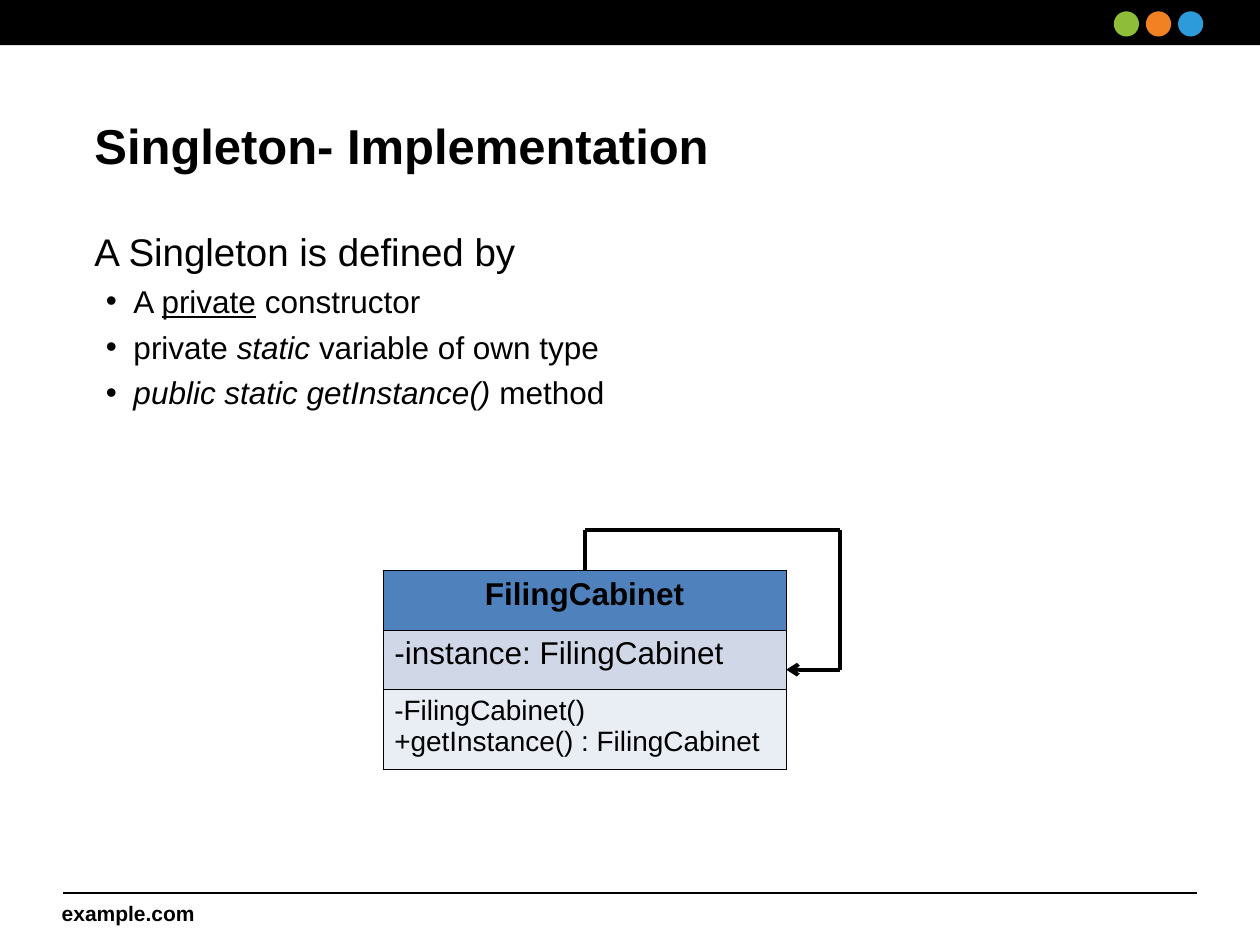
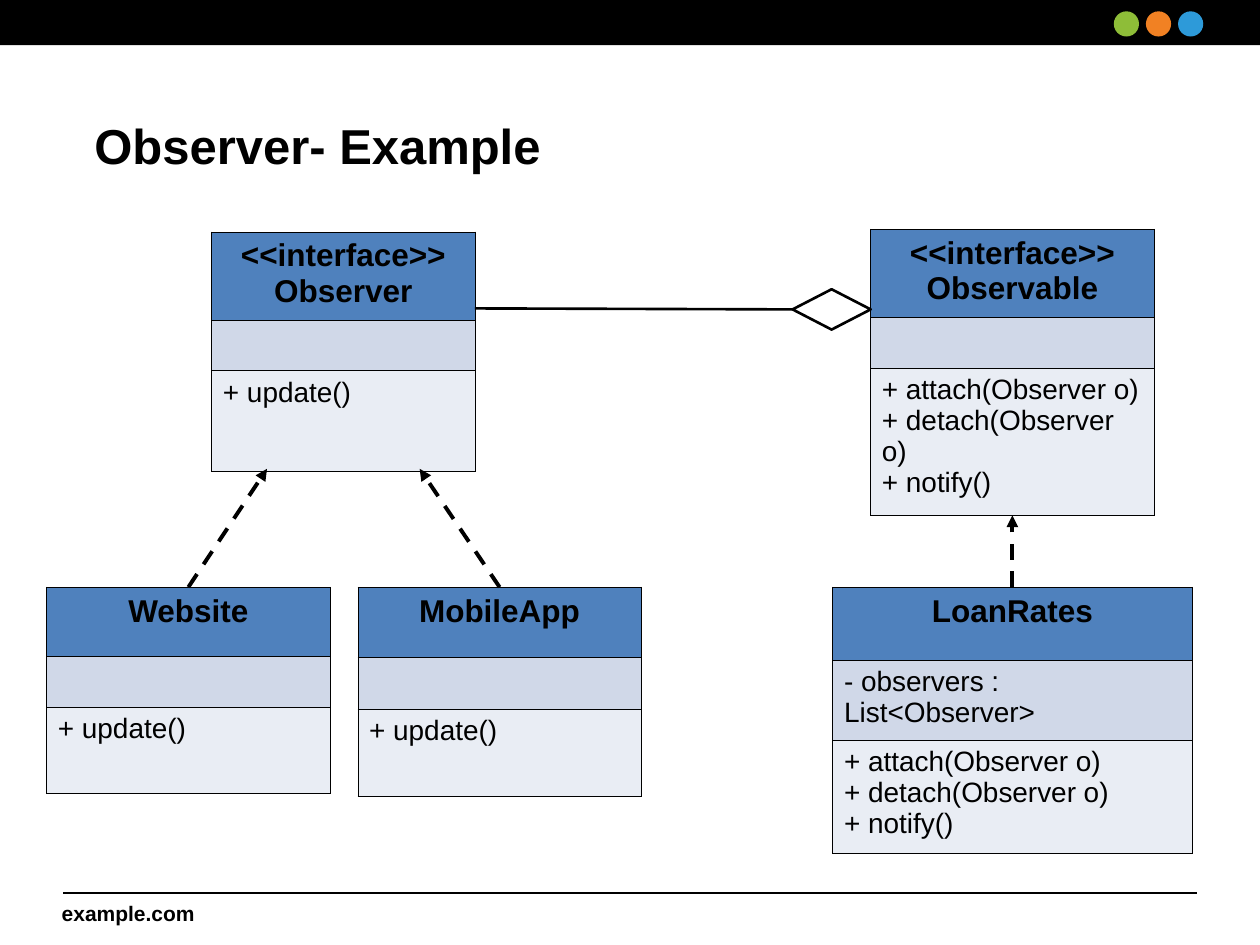
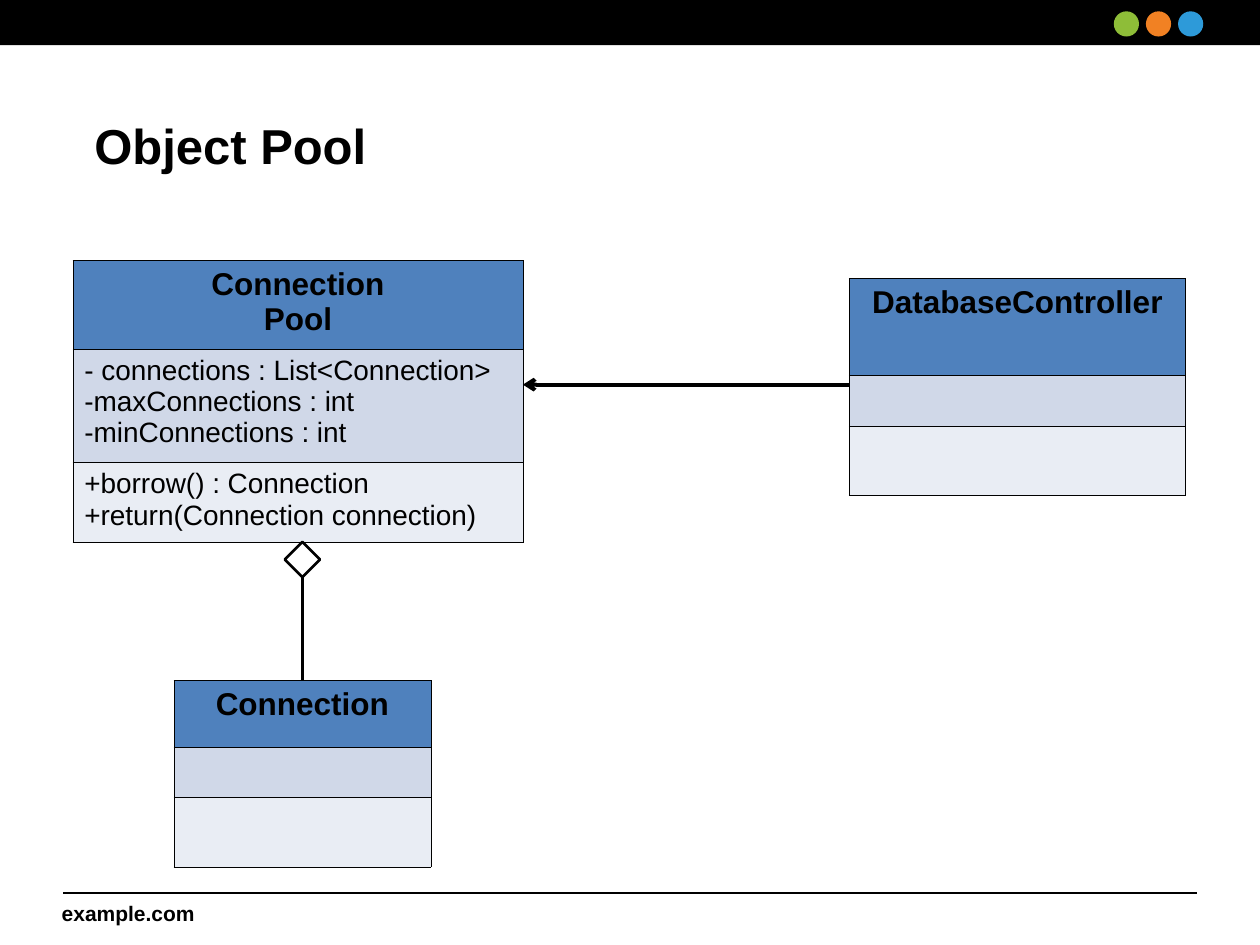
from dataclasses import dataclass
from itertools import pairwise

from lxml.etree import SubElement
from pptx import Presentation
from pptx.dml.color import RGBColor
from pptx.enum.dml import MSO_LINE
from pptx.enum.shapes import MSO_CONNECTOR, MSO_SHAPE
from pptx.enum.text import MSO_ANCHOR, PP_ALIGN
from pptx.oxml import parse_xml
from pptx.oxml.ns import nsdecls, qn
from pptx.util import Inches, Pt

BLACK = RGBColor(0x00, 0x00, 0x00)
WHITE = RGBColor(0xFF, 0xFF, 0xFF)
HEADER = RGBColor(0x4F, 0x81, 0xBD)
ATTRIBUTES = RGBColor(0xD0, 0xD8, 0xE8)
METHODS = RGBColor(0xE9, 0xED, 0xF4)
DOTS = (RGBColor(0x8E, 0xBD, 0x38), RGBColor(0xF1, 0x81, 0x23),
        RGBColor(0x2D, 0x9A, 0xD9))
FONT = "Arial"

# The slide is a grid of 100 columns and 75 rows of square cells.
WIDTH, HEIGHT = Inches(10), Inches(7.5)
COLUMNS, ROWS = 100, 75


@dataclass
class Box:
    left: float
    top: float
    width: float
    height: float

    def at(self, across, down):
        """Grid point at the given shares of the box's width and height."""
        return self.left + across * self.width, self.top + down * self.height


def col(n):
    return round(WIDTH * n / COLUMNS)


def row(n):
    return round(HEIGHT * n / ROWS)


def place(left, top, width, height):
    return col(left), row(top), col(width), row(height)


def add_run(p, text, size, bold=False, italic=False, underline=False):
    r = p.add_run()
    r.text = text
    f = r.font
    f.name, f.size, f.color.rgb = FONT, Pt(size), BLACK
    f.bold, f.italic, f.underline = bold, italic, underline


def add_lines(tf, lines, size, bold=False, align=PP_ALIGN.LEFT):
    for i, line in enumerate(lines):
        p = tf.add_paragraph() if i else tf.paragraphs[0]
        p.alignment = align
        add_run(p, line, size, bold)


def add_text_box(slide, *area, wrap=True):
    tf = slide.shapes.add_textbox(*place(*area)).text_frame
    tf.word_wrap = wrap
    tf.margin_left = tf.margin_right = tf.margin_top = tf.margin_bottom = 0
    return tf


def add_filled(slide, kind, area, fill, line_width=0):
    sp = slide.shapes.add_shape(kind, *place(*area))
    sp.shadow.inherit = False
    sp.fill.solid()
    sp.fill.fore_color.rgb = fill
    if line_width:
        sp.line.color.rgb, sp.line.width = BLACK, Pt(line_width)
    else:
        sp.line.fill.background()


def add_line(slide, start, end, width=2.25, head=None, dashed=False):
    """Draw a line whose optional head ("arrow" or "triangle") is at its end."""
    (x1, y1), (x2, y2) = start, end
    cxn = slide.shapes.add_connector(
        MSO_CONNECTOR.STRAIGHT, col(x1), row(y1), col(x2), row(y2))
    cxn.line.color.rgb, cxn.line.width = BLACK, Pt(width)
    if dashed:
        cxn.line.dash_style = MSO_LINE.DASH
    if head:
        SubElement(cxn.line._get_or_add_ln(), qn("a:tailEnd"), type=head)
    SubElement(cxn._element.spPr, qn("a:effectLst"))


def add_path(slide, *points):
    """Join the points with lines and end with an arrow."""
    steps = list(pairwise(points))
    for start, end in steps[:-1]:
        add_line(slide, start, end)
    add_line(slide, *steps[-1], head="arrow")


def add_realization(slide, start, end):
    add_line(slide, start, end, head="triangle", dashed=True)


def add_aggregation(slide, part, whole, width, height):
    """Draw a line from part to a diamond that touches whole."""
    (px, py), (x, y) = part, whole
    if abs(px - x) > abs(py - y):
        reach = width if px > x else -width
        base, center = (x + reach, y), (x + reach / 2, y)
    else:
        reach = height if py > y else -height
        base, center = (x, y + reach), (x, y + reach / 2)
    add_line(slide, part, base, width=1.5)
    area = (center[0] - width / 2, center[1] - height / 2, width, height)
    add_filled(slide, MSO_SHAPE.DIAMOND, area, WHITE, 1.5)


def add_borders(cell):
    tcPr = cell._tc.get_or_add_tcPr()
    for i, side in enumerate("LRTB"):
        tcPr.insert(i, parse_xml(
            f'<a:ln{side} w="{Pt(0.45)}" {nsdecls("a")}><a:solidFill>'
            f'<a:srgbClr val="{BLACK}"/></a:solidFill></a:ln{side}>'))


def add_class(slide, left, top, width, heights, name, attributes=(),
              methods=(), attribute_size=16):
    """Draw a UML class as a three-row table and return its box."""
    box = Box(left, top, width, sum(heights))
    table = slide.shapes.add_table(
        3, 1, *place(left, top, width, box.height)).table
    table.first_row = table.horz_banding = False
    parts = ((name, 18, True, PP_ALIGN.CENTER, HEADER),
             (attributes, attribute_size, False, PP_ALIGN.LEFT, ATTRIBUTES),
             (methods, 16, False, PP_ALIGN.LEFT, METHODS))
    for i, (lines, size, bold, align, fill) in enumerate(parts):
        table.rows[i].height = row(heights[i])
        cell = table.cell(i, 0)
        cell.margin_left = cell.margin_right = col(0.9)
        cell.margin_top = cell.margin_bottom = row(0.5)
        cell.fill.solid()
        cell.fill.fore_color.rgb = fill
        add_borders(cell)
        add_lines(cell.text_frame, lines, size, bold, align)
    return box


def add_bullets(slide, area, lead, items):
    tf = add_text_box(slide, *area)
    p = tf.paragraphs[0]
    p.space_before = Pt(5.5)
    add_run(p, lead, 22)
    for runs in items:
        p = tf.add_paragraph()
        p.space_before = Pt(4.5)
        pPr = p._p.get_or_add_pPr()
        pPr.set("marL", str(col(3.1)))
        pPr.set("indent", str(-col(2.2)))
        SubElement(pPr, qn("a:buFont"), typeface=FONT)
        SubElement(pPr, qn("a:buChar"), char="•")
        for text, style in runs:
            add_run(p, text, 18, **style)


def new_slide(prs, title):
    slide = prs.slides.add_slide(prs.slide_layouts[6])
    footer = add_text_box(slide, 4.9, 71, 11.6, 3, wrap=False)
    footer.vertical_anchor = MSO_ANCHOR.MIDDLE
    add_lines(footer, ["example.com"], 12, bold=True)
    add_line(slide, (5, 70.9), (95, 70.9), width=1)
    add_filled(slide, MSO_SHAPE.RECTANGLE, (0, 0, COLUMNS, 3.6), BLACK)
    for i, color in enumerate(DOTS):
        add_filled(slide, MSO_SHAPE.OVAL, (88.4 + 2.55 * i, 0.9, 2, 2), color)
    add_lines(add_text_box(slide, 7.5, 9.2, 85, 5.2), [title], 28, bold=True)
    return slide


def singleton_slide(prs):
    slide = new_slide(prs, "Singleton- Implementation")
    italic, underline = {"italic": True}, {"underline": True}
    add_bullets(slide, (7.5, 18.1, 85, 17), "A Singleton is defined by", [
        [("A ", {}), ("private", underline), (" constructor", {})],
        [("private ", {}), ("static", italic), (" variable of own type", {})],
        [("public static getInstance() ", italic), ("method", {})],
    ])
    cabinet = add_class(
        slide, 30.4, 45.3, 32, (4.7, 4.7, 6.3), ["FilingCabinet"],
        ["-instance: FilingCabinet"],
        ["-FilingCabinet()", "+getInstance() : FilingCabinet"],
        attribute_size=18)
    top, side = cabinet.at(0.5, 0), cabinet.at(1, 0.5)
    loop_x, loop_y = 66.7, 42.1
    add_path(slide, top, (top[0], loop_y), (loop_x, loop_y),
             (loop_x, side[1]), side)


def observer_slide(prs):
    slide = new_slide(prs, "Observer- Example")
    update = ["+ update()"]
    subject = ["+ attach(Observer o)", "+ detach(Observer o)", "+ notify()"]
    lower = 46.6
    observer = add_class(slide, 16.8, 18.4, 20.9, (7, 4, 8),
                         ["<<interface>>", "Observer"], methods=update)
    website = add_class(slide, 3.7, lower, 22.5, (5.5, 4, 6.9),
                        ["Website"], methods=update)
    mobile = add_class(slide, 28.4, lower, 22.5, (5.6, 4.1, 6.9),
                       ["MobileApp"], methods=update)
    observable = add_class(slide, 69.1, 18.2, 22.5, (7, 4, 11.7),
                           ["<<interface>>", "Observable"], methods=subject)
    rates = add_class(slide, 66.1, lower, 28.5, (5.8, 6.3, 9), ["LoanRates"],
                      ["- observers : List<Observer>"], subject)
    add_realization(slide, website.at(0.5, 0), observer.at(0.21, 0.99))
    add_realization(slide, mobile.at(0.5, 0), observer.at(0.79, 0.99))
    add_realization(slide, rates.at(0.5, 0), observable.at(0.5, 1))
    add_aggregation(slide, observer.at(1, 0.32), observable.at(0, 0.28),
                    6.2, 3.2)


def object_pool_slide(prs):
    slide = new_slide(prs, "Object Pool")
    controller = add_class(slide, 67.4, 22.1, 26.7, (7.7, 4, 5.5),
                           ["DatabaseController"])
    pool = add_class(
        slide, 5.8, 20.7, 35.7, (7, 9, 6.3), ["Connection", "Pool"],
        ["- connections : List<Connection>", "-maxConnections : int",
         "-minConnections : int"],
        ["+borrow() : Connection", "+return(Connection connection)"])
    connection = add_class(slide, 13.8, 54, 20.4, (5.3, 4, 5.5),
                           ["Connection"])
    part, use = connection.at(0.5, 0), controller.at(0, 0.49)
    add_aggregation(slide, part, (part[0], pool.top + pool.height), 2.8, 2.8)
    add_path(slide, use, (pool.left + pool.width, use[1]))


def main():
    prs = Presentation()
    prs.slide_width, prs.slide_height = WIDTH, HEIGHT
    singleton_slide(prs)
    observer_slide(prs)
    object_pool_slide(prs)
    prs.save("out.pptx")


if __name__ == "__main__":
    main()
